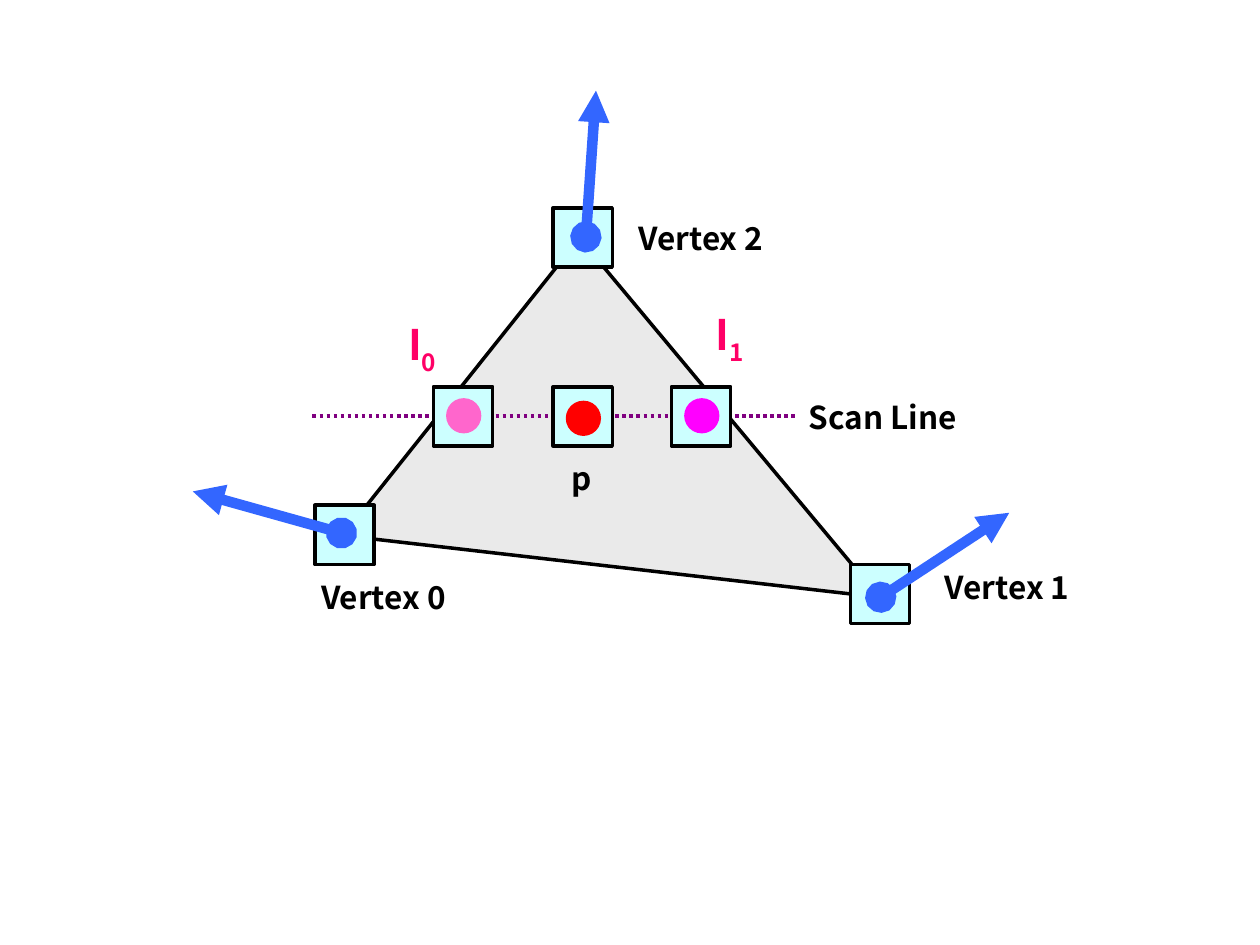
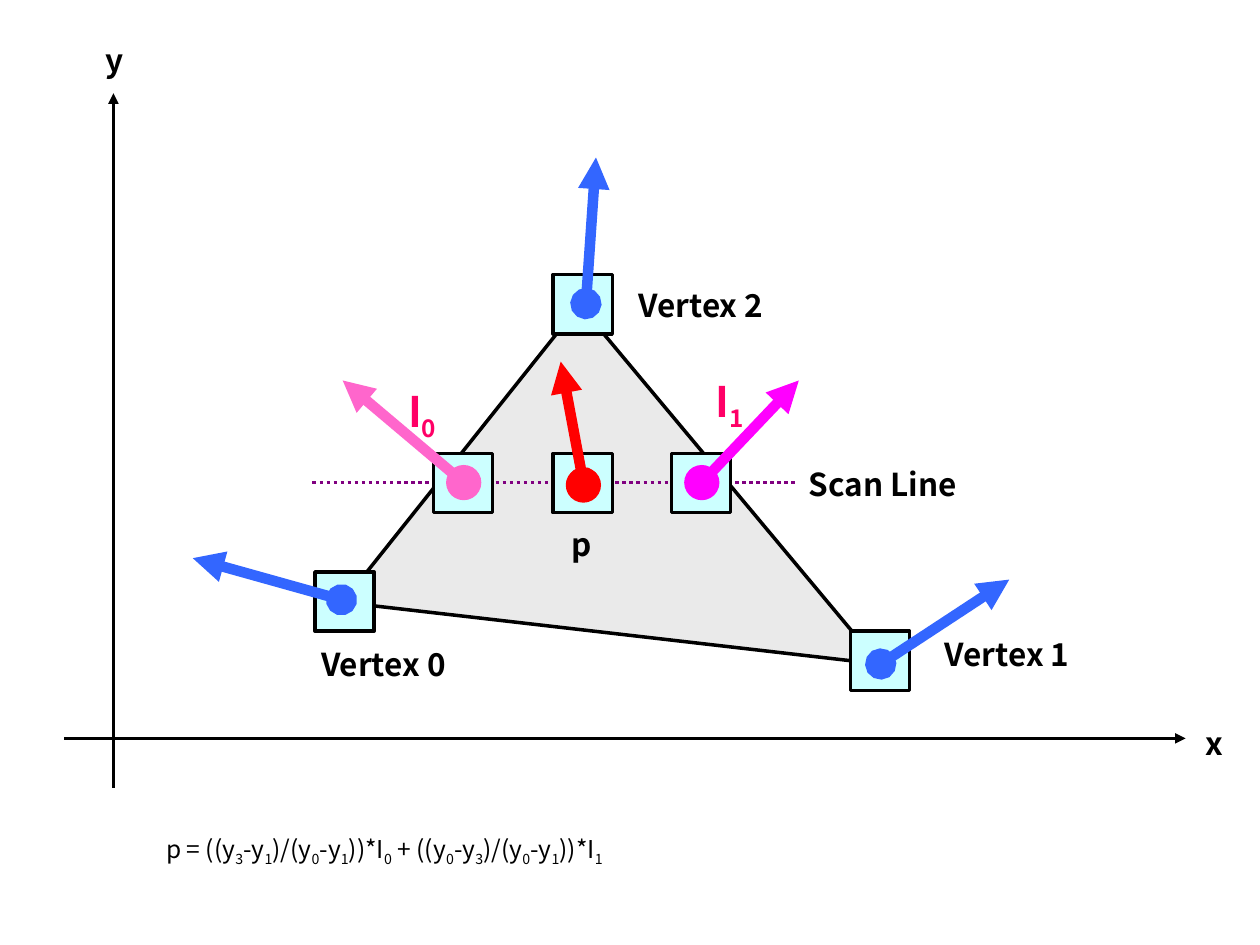
from dataclasses import dataclass

from lxml import etree
from pptx import Presentation
from pptx.dml.color import RGBColor
from pptx.enum.dml import MSO_LINE_DASH_STYLE as Dash
from pptx.enum.shapes import MSO_CONNECTOR as Connector, MSO_SHAPE as Shape
from pptx.enum.text import MSO_AUTO_SIZE as AutoSize
from pptx.oxml.ns import qn
from pptx.util import Pt

EMU_PER_PX = 9144  # 100 px to the inch


def px(length):
    return length * EMU_PER_PX


@dataclass(frozen=True)
class Theme:
    font: str = "Noto Sans CJK KR"
    ink: str = "000000"
    paper: str = "FFFFFF"
    face: str = "EAEAEA"
    pixel: str = "CCFFFF"
    normal: str = "3366FF"
    scan: str = "800080"
    intensity: str = "FF0066"
    left_edge: str = "FF66CC"
    right_edge: str = "FF00FF"
    point: str = "FF0000"
    label_size: int = 18
    intensity_size: int = 24
    formula_size: int = 14
    thin: int = 2
    thick: int = 6


THEME = Theme()
PIXEL_SIDE = 47
DOT_SIDE = 28
TEXT_HEIGHTS = {THEME.label_size: 40, THEME.intensity_size: 56, THEME.formula_size: 37}

# Positions are those of the first slide; DROP moves the figure down on the second.
DROP = 53
TRIANGLE = [(272, 425), (460, 189), (698, 474)]
# label, label corner, pixel corner, normal start, normal end
VERTICES = [
    ("Vertex 1", (740, 446), (675, 448), (699, 474), (801, 407)),
    ("Vertex 0", (245, 454), (250, 401), (271, 423), (153, 390)),
    ("Vertex 2", (497, 169), (439, 165), (465, 188), (473, 72)),
]
SCAN_Y = 330
SCAN_PIXEL_TOP = 307
# colour, pixel left, dot top, tip of the interpolated normal
SAMPLES = [
    (THEME.left_edge, 344, 316, (272, 249)),
    (THEME.right_edge, 533, 316, (634, 249)),
    (THEME.point, 439, 318, (445, 234)),
]
FORMULA = "p = ((y_3-y_1)/(y_0-y_1))*I_0 + ((y_0-y_3)/(y_0-y_1))*I_1"


class Canvas:
    def __init__(self, theme, width, height):
        self.theme = theme
        self.deck = Presentation()
        self.deck.slide_width, self.deck.slide_height = px(width), px(height)
        self.slide = None
        self.drop = 0

    def new_slide(self, drop=0):
        """Add a blank slide on which every element is moved down by drop."""
        self.slide = self.deck.slides.add_slide(self.deck.slide_layouts[6])
        self.drop = drop

    def place(self, point):
        return px(point[0]), px(point[1] + self.drop)

    def paint(self, shape, fill, outlined):
        shape.shadow.inherit = False
        shape.fill.solid()
        shape.fill.fore_color.rgb = RGBColor.from_string(fill)
        if outlined:
            self.stroke(shape.line, self.theme.ink, self.theme.thin)
        else:
            shape.line.fill.background()

    @staticmethod
    def stroke(line, color, weight):
        line.color.rgb = RGBColor.from_string(color)
        line.width = Pt(weight)

    def polygon(self, corners, fill):
        first, *others = [(x, y + self.drop) for x, y in corners]
        builder = self.slide.shapes.build_freeform(*first, scale=EMU_PER_PX)
        builder.add_line_segments(others, close=True)
        self.paint(builder.convert_to_shape(), fill, outlined=True)

    def pixel(self, corner):
        square = self.slide.shapes.add_shape(
            Shape.RECTANGLE, *self.place(corner), px(PIXEL_SIDE), px(PIXEL_SIDE))
        self.paint(square, self.theme.pixel, outlined=True)

    def dot(self, corner, color):
        circle = self.slide.shapes.add_shape(
            Shape.OVAL, *self.place(corner), px(DOT_SIDE), px(DOT_SIDE))
        self.paint(circle, color, outlined=False)

    def line(self, start, end, color, weight, dash=None, head=None, tail=None):
        link = self.slide.shapes.add_connector(
            Connector.STRAIGHT, *self.place(start), *self.place(end))
        self.stroke(link.line, color, weight)
        if dash:
            link.line.dash_style = dash
        properties = link._element.spPr
        outline = properties.find(qn("a:ln"))
        for tag, kind in (("a:headEnd", head), ("a:tailEnd", tail)):
            if kind:
                etree.SubElement(outline, qn(tag), type=kind)
        etree.SubElement(properties, qn("a:effectLst"))

    def normal(self, start, end, color):
        """Draw a thick arrow that starts with a round dot."""
        self.line(start, end, color, self.theme.thick, head="oval", tail="triangle")

    def axis(self, start, end):
        self.line(start, end, self.theme.ink, self.theme.thin, tail="triangle")

    def text(self, words, corner, width, size=THEME.label_size, color=THEME.ink,
             bold=True, wrap=False, before=0, fill=None):
        """Write words; the character after each underscore is a subscript."""
        box = self.slide.shapes.add_textbox(
            *self.place(corner), px(width), px(TEXT_HEIGHTS[size]))
        if fill:
            self.paint(box, fill, outlined=False)
        frame = box.text_frame
        frame.word_wrap = wrap
        frame.auto_size = AutoSize.SHAPE_TO_FIT_TEXT
        paragraph = frame.paragraphs[0]
        if before:
            paragraph.space_before = Pt(before)
        plain, *rest = words.split("_")
        pieces = [(plain, False)]
        for part in rest:
            pieces += [(part[0], True), (part[1:], False)]
        for piece, lowered in pieces:
            if piece:
                self.add_run(paragraph, piece, size, color, bold, lowered)

    def add_run(self, paragraph, words, size, color, bold, lowered):
        run = paragraph.add_run()
        run.text = words
        run.font.name = self.theme.font
        run.font.size = Pt(size)
        run.font.bold = bold
        run.font.color.rgb = RGBColor.from_string(color)
        properties = run._r.get_or_add_rPr()
        etree.SubElement(properties, qn("a:ea"), typeface=self.theme.font)
        if lowered:
            properties.set("baseline", "-25000")


def draw_scan_conversion(canvas):
    """Draw the triangle, its vertices and the scan line with three samples."""
    theme = canvas.theme
    canvas.polygon(TRIANGLE, theme.face)
    for label, label_corner, pixel_corner, start, end in VERTICES:
        canvas.pixel(pixel_corner)
        canvas.normal(start, end, theme.normal)
        canvas.text(label, label_corner, 126)
    canvas.line((248, SCAN_Y), (697, SCAN_Y), theme.scan, theme.thin, dash=Dash.ROUND_DOT)
    for color, left, dot_top, _ in SAMPLES:
        canvas.pixel((left, SCAN_PIXEL_TOP))
        canvas.dot((left + 10, dot_top), color)
    canvas.text("p", (444, 359), 36)
    canvas.text("Scan Line", (632, 311), 142, fill=theme.paper)
    for name, corner in (("I_0", (314, 248)), ("I_1", (558, 240))):
        canvas.text(name, corner, 44, theme.intensity_size, theme.intensity)


def draw_interpolated_normals(canvas):
    for color, left, _, tip in SAMPLES:
        center = left + 10 + DOT_SIDE // 2
        canvas.normal((center, SCAN_Y), tip, color)


def draw_axes(canvas):
    canvas.axis((51, 586), (941, 586))
    canvas.axis((90, 625), (90, 74))
    canvas.text("y", (74, 28), 34)
    canvas.text("x", (947, 570), 36)


def main():
    canvas = Canvas(THEME, 1000, 750)
    canvas.new_slide()
    draw_scan_conversion(canvas)

    canvas.new_slide(DROP)
    draw_scan_conversion(canvas)
    draw_interpolated_normals(canvas)
    canvas.drop = 0
    canvas.text(FORMULA, (122, 657), 436, THEME.formula_size,
                bold=False, wrap=True, before=8.8)
    draw_axes(canvas)
    canvas.deck.save("out.pptx")


if __name__ == "__main__":
    main()
